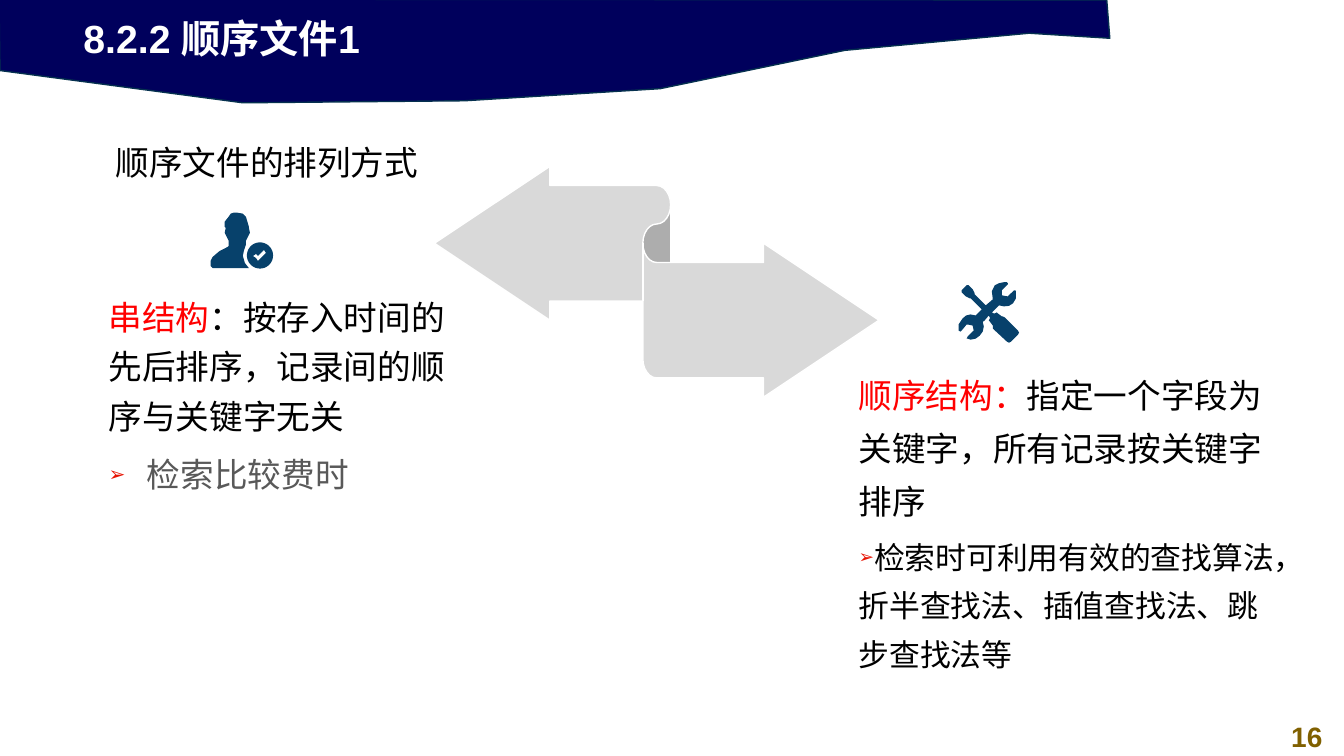
import math
from lxml import etree
from pptx import Presentation
from pptx import util as u
from pptx.dml import color
from pptx.enum import shapes, text
from pptx.oxml import ns

presentation = Presentation()
presentation.slide_width = u.Inches(13.33)
presentation.slide_height = u.Inches(7.5)
COLUMN = presentation.slide_width / 160
ROW = presentation.slide_height / 90

NAVY, ICON_BLUE, RED, BLACK = "00005C", "07416B", "FF0000", "000000"

BANNER = [(0, 0), (1, 71), (242, 103), (462, 101), (656, 89), (839, 51),
          (1022, 34), (1102, 39), (1099, 1)]
PERSON = [(26, 0), (32, 1), (35, 4), (38, 14), (38, 15), (39, 20), (37, 24),
          (35, 28), (35, 32), (33, 38), (32, 43), (34, 50), (38, 55), (2, 55),
          (0, 53), (0, 48), (2, 44), (9, 38), (17, 34), (18, 33), (18, 28),
          (16, 24), (14, 20), (15, 15), (14, 14), (14, 9), (18, 4), (20, 1), (23, 0)]
BADGE = [(49 + 13 * math.cos(math.radians(angle)), 42.5 + 13 * math.sin(math.radians(angle)))
         for angle in range(0, 360, 10)]
CHECK = [(53, 37), (47, 43), (45, 41), (42, 43), (45, 45), (47, 48), (50, 45), (55, 40)]
TOOLS = [(60, 48), (47, 35), (45, 34), (44, 34), (40, 31), (39, 30), (37, 31),
         (36, 31), (34, 30), (41, 23), (46, 24), (51, 23.5), (55, 21), (58, 16),
         (58, 9), (57, 8), (56, 8), (50, 14), (49, 14), (44, 13), (44, 9), (44, 8),
         (50, 2), (50, 1), (49, 0), (46, 0), (41, 1), (37, 3), (34, 9), (35, 17),
         (28, 23), (17, 12), (17, 11), (15, 7), (11, 3), (10, 3), (9, 3), (4, 8),
         (4, 10), (8, 14), (12, 16), (13, 16), (24, 27), (19, 32), (18, 33), (13, 32),
         (8.5, 33), (5, 36), (1, 42), (1, 48), (3, 49), (4, 48), (9, 42), (10, 42),
         (15, 43), (16, 48), (15, 49), (10, 54), (9, 56), (10, 56), (13, 57),
         (18, 56), (22, 53), (25, 49), (26, 44), (25, 39), (26, 39), (31, 33),
         (32, 35), (32, 36), (31, 38), (32, 39), (35, 43), (35, 46), (49, 59),
         (51, 60), (53, 59), (60, 52), (61, 50)]


def rgb(value):
    return color.RGBColor.from_string(value)


def place(box):
    left, top, width, height = box
    return [round(length) for length in
            (left * COLUMN, top * ROW, width * COLUMN, height * ROW)]


def paint(shape, fill, line=None):
    shape.shadow.inherit = False
    shape.fill.solid()
    shape.fill.fore_color.rgb = rgb(fill)
    if line:
        shape.line.color.rgb = rgb(line)
        shape.line.width = u.Pt(1)
    else:
        shape.line.fill.background()


def add_outline(slide, box, extent, contours, fill, line=None):
    left, top, width, height = place(box)
    detail = 100
    scale = (width / extent[0] / detail, height / extent[1] / detail)
    scaled = [[(x * detail, y * detail) for x, y in contour] for contour in contours]
    builder = slide.shapes.build_freeform(*scaled[0][0], scale=scale)
    builder.add_line_segments(scaled[0][1:], close=True)
    for contour in scaled[1:]:
        builder.move_to(*contour[0])
        builder.add_line_segments(contour[1:], close=True)
    paint(builder.convert_to_shape(left, top), fill, line)


def add_bullet(paragraph, margin):
    paragraph.level = 1
    properties = paragraph._p.get_or_add_pPr()
    properties.set("marL", str(u.Inches(margin)))
    properties.set("indent", str(u.Inches(-0.38)))
    colour = etree.SubElement(properties, ns.qn("a:buClr"))
    for parent, tag, name, value in (
            (colour, "a:srgbClr", "val", "E71101"),
            (properties, "a:buSzPct", "val", "60000"),
            (properties, "a:buFont", "typeface", "Arial"),
            (properties, "a:buChar", "char", "➢")):
        etree.SubElement(parent, ns.qn(tag)).set(name, value)


def add_text(slide, box, paragraphs):
    frame = slide.shapes.add_textbox(*place(box)).text_frame
    frame.word_wrap = True
    for index, (runs, layout, margin) in enumerate(paragraphs):
        paragraph = frame.add_paragraph() if index else frame.paragraphs[0]
        if margin is not None:
            add_bullet(paragraph, margin)
        for name, value in layout.items():
            setattr(paragraph, name, value)
        for words, size, colour, bold in runs:
            run = paragraph.add_run()
            run.text = words
            values = {"name": "Arial", "size": u.Pt(size), "bold": bold}
            for name, value in values.items():
                setattr(run.font, name, value)
            run.font.color.rgb = rgb(colour)


def add_header(slide, box):
    left, top, width, height = box
    add_outline(slide, box, (1102, 103), [BANNER], NAVY, "05304F")
    add_text(slide, (left + 8.88, top + 1.2, 92.16, 6.84),
             [([("8.2.2 顺序文件1", 28, "FFFFFF", True)], {}, None)])


def add_ribbon(slide, box):
    ribbon = slide.shapes.add_shape(shapes.MSO_SHAPE.LEFT_RIGHT_RIBBON, *place(box))
    for index, value in enumerate((0.5, 0.5, 0.33333)):
        ribbon.adjustments[index] = value
    paint(ribbon, "D9D9D9", "FFFFFF")


def add_structure(slide, box, term, meaning, spacing, note, note_size, note_colour, margin):
    add_text(slide, box, [
        ([(term, 24, RED, False), (meaning, 24, BLACK, False)],
         {"line_spacing": spacing}, None),
        ([(note, note_size, note_colour, False)],
         {"line_spacing": 1.32, "space_before": u.Pt(3.7)}, margin)])


def add_page_number(slide, box):
    add_text(slide, box, [([("16", 20, "806000", True)],
                           {"alignment": text.PP_ALIGN.CENTER}, None)])


def build_slide():
    slide = presentation.slides.add_slide(presentation.slide_layouts[6])
    add_header(slide, (-0.12, -0.12, 132.24, 12.36))
    add_page_number(slide, (151.2, 85.08, 8.76, 5.28))
    add_outline(slide, (25.08, 25.32, 7.44, 6.72), (62, 56),
                [PERSON, BADGE, CHECK], ICON_BLUE)
    add_outline(slide, (114, 33.6, 7.32, 7.32), (61, 61), [TOOLS], ICON_BLUE)
    add_ribbon(slide, (51.72, 19.8, 52.92, 27.48))
    add_structure(slide, (11.76, 33.6, 45.96, 29.88), "串结构",
                  "：按存入时间的先后排序，记录间的顺序与关键字无关", 1.23,
                  "检索比较费时", 24, "595959", 0.38)
    add_structure(slide, (101.04, 42.48, 53.28, 38.16), "顺序结构：",
                  "指定一个字段为关键字，所有记录按关键字排序", 1.32,
                  "检索时可利用有效的查找算法，折半查找法、插值查找法、跳步查找法等", 22, BLACK, 0)
    add_text(slide, (12.6, 16.8, 56.52, 5.28),
             [([("顺序文件的排列方式", 24, BLACK, False)], {"line_spacing": 0.9}, None)])


if __name__ == "__main__":
    build_slide()
    presentation.save("out.pptx")
